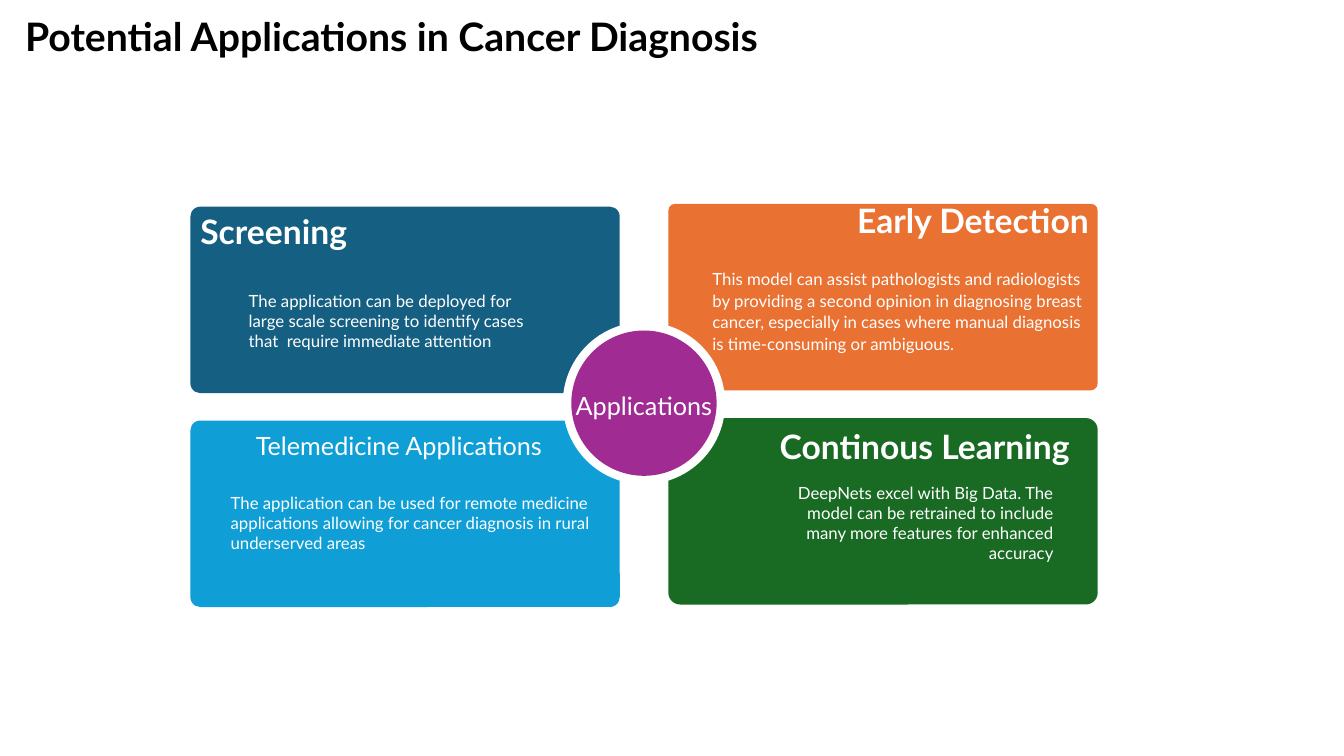
from pptx import Presentation
from pptx.dml.color import RGBColor
from pptx.enum import shapes, text
from pptx.util import Pt

FONT = "Lato"
WHITE = RGBColor(0xFF, 0xFF, 0xFF)
BLACK = RGBColor(0x00, 0x00, 0x00)
NAVY = RGBColor(0x15, 0x60, 0x82)
SKY = RGBColor(0x0F, 0x9E, 0xD5)
ORANGE = RGBColor(0xE9, 0x71, 0x32)
GREEN = RGBColor(0x19, 0x6B, 0x24)
PURPLE = RGBColor(0xA0, 0x2B, 0x93)

LEFT, CENTER, RIGHT = text.PP_ALIGN.LEFT, text.PP_ALIGN.CENTER, text.PP_ALIGN.RIGHT
TOP, MIDDLE = text.MSO_ANCHOR.TOP, text.MSO_ANCHOR.MIDDLE

CARD_WIDTH, CARD_HEIGHT = 306.7, 133.2
HUB_X, HUB_Y = 460, 288


def add_filled_shape(kind, box, color):
    shape = slide.shapes.add_shape(kind, *map(Pt, box))
    shape.shadow.inherit = False
    shape.fill.solid()
    shape.fill.fore_color.rgb = color
    shape.line.fill.background()
    return shape


def write(shape, wording, size, color, anchor, bold=False, inset=7.2, **spacing):
    """Fill a shape with one paragraph; spacing holds paragraph attributes."""
    frame = shape.text_frame
    frame_format = {
        "word_wrap": True, "auto_size": text.MSO_AUTO_SIZE.NONE, "vertical_anchor": anchor,
        "margin_left": Pt(7.2), "margin_right": Pt(7.2),
        "margin_top": Pt(inset), "margin_bottom": Pt(inset),
    }
    for name, value in frame_format.items():
        setattr(frame, name, value)
    paragraph = frame.paragraphs[0]
    for name, value in spacing.items():
        setattr(paragraph, name, value)
    run = paragraph.add_run()
    run.text = wording
    for name, value in {"name": FONT, "size": Pt(size), "bold": bold}.items():
        setattr(run.font, name, value)
    run.font.color.rgb = color


presentation = Presentation()
presentation.slide_width, presentation.slide_height = Pt(960), Pt(540)
slide = presentation.slides.add_slide(presentation.slide_layouts[5])

title = slide.shapes.title
title.left, title.top, title.width, title.height = map(Pt, (10.8, 5, 993, 41))
write(title, "Potential Applications in Cancer Diagnosis", 28, BLACK, TOP,
      bold=True, inset=3.6, alignment=LEFT)

# Cards: left, top, corner rounding, colour
cards = [
    (136, 147.6, 0.053, NAVY),
    (136, 300.4, 0.053, SKY),
    (477.4, 145.6, 0.037, ORANGE),
    (477.4, 298.6, 0.063, GREEN),
]
for left, top, rounding, color in cards:
    card = add_filled_shape(shapes.MSO_SHAPE.ROUNDED_RECTANGLE,
                            (left, top, CARD_WIDTH, CARD_HEIGHT), color)
    card.adjustments[0] = rounding

for diameter, color in [(116, WHITE), (100.8, PURPLE)]:
    hub = add_filled_shape(
        shapes.MSO_SHAPE.OVAL,
        (HUB_X - diameter / 2, HUB_Y - diameter / 2, diameter, diameter), color)
hub.line.color.rgb = PURPLE
hub.line.width = Pt(3)

# Labels: box, wording, size, bold, anchor, paragraph format
labels = [
    ((136, 139, 238.3, 30.2), "Screening", 24, True, TOP,
     {"line_spacing": 1.15, "space_after": Pt(16)}),
    ((170.6, 206.6, 216, 45.4),
     "The application can be deployed for large scale screening to identify cases "
     "that  require immediate attention", 12, False, MIDDLE, {}),
    ((175.7, 296.6, 238.3, 30.2), "Telemedicine Applications", 18, False, TOP,
     {"line_spacing": 1.15}),
    ((157.7, 350.6, 273.6, 45.4),
     "The application can be used for remote medicine applications allowing for "
     "cancer diagnosis in rural underserved areas", 12, False, MIDDLE, {}),
    ((546.5, 139, 238.3, 30.2), "Early Detection", 24, True, TOP,
     {"alignment": RIGHT, "line_spacing": 0.9, "space_after": Pt(16)}),
    ((501.8, 191.5, 282.2, 60.5),
     "This model can assist pathologists and radiologists by providing a second "
     "opinion in diagnosing breast cancer, especially in cases where manual "
     "diagnosis is time-consuming or ambiguous.", 12, False, MIDDLE,
     {"line_spacing": 1.07, "space_before": Pt(10), "space_after": Pt(8)}),
    ((532.8, 293, 238.3, 41), "Continous Learning", 24, True, TOP,
     {"alignment": RIGHT, "line_spacing": 1.15, "space_after": Pt(16)}),
    ((543.6, 350.6, 216, 45.4),
     "DeepNets excel with Big Data. The model can be retrained to include many "
     "more features for enhanced accuracy", 12, False, MIDDLE, {"alignment": RIGHT}),
    ((402, 237.6, 116, 100.8), "Applications", 18, False, MIDDLE,
     {"alignment": CENTER, "line_spacing": 1.15}),
]
for box, wording, size, bold, anchor, spacing in labels:
    label = slide.shapes.add_textbox(*map(Pt, box))
    write(label, wording, size, WHITE, anchor, bold, **spacing)

presentation.save("out.pptx")
